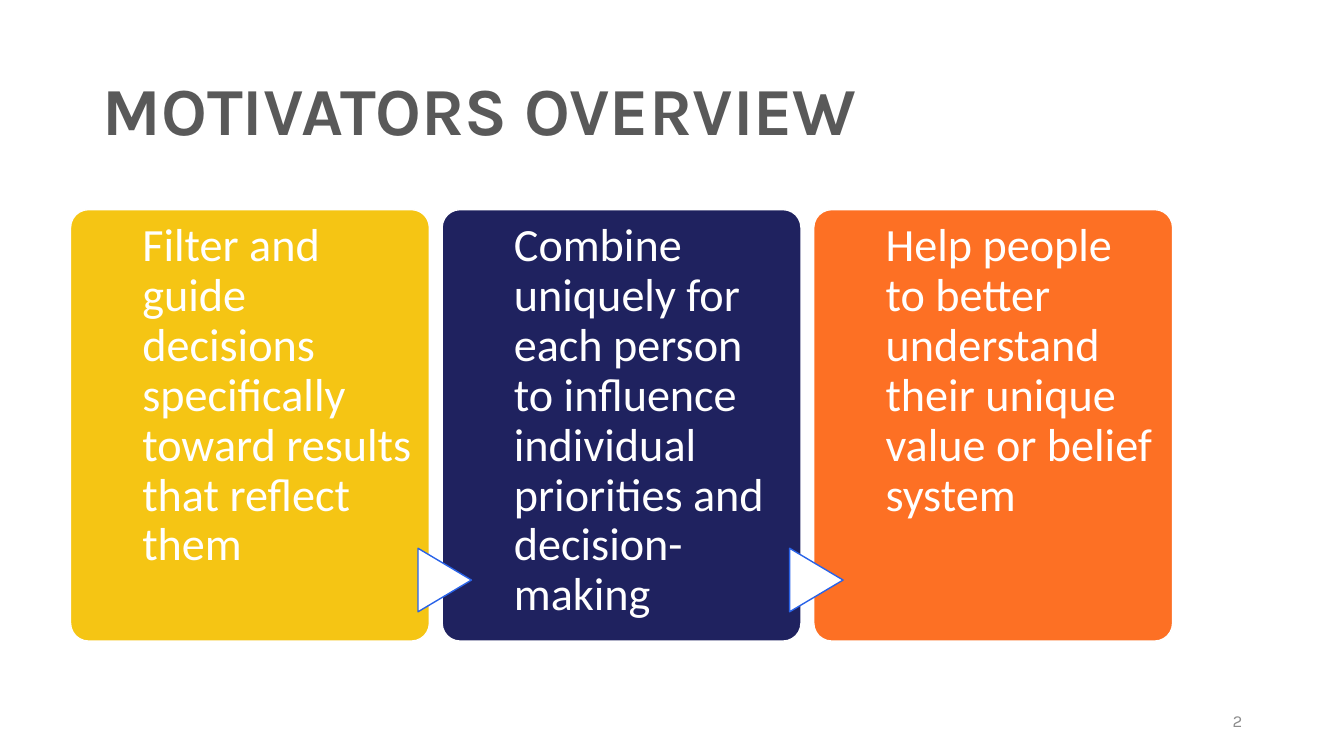
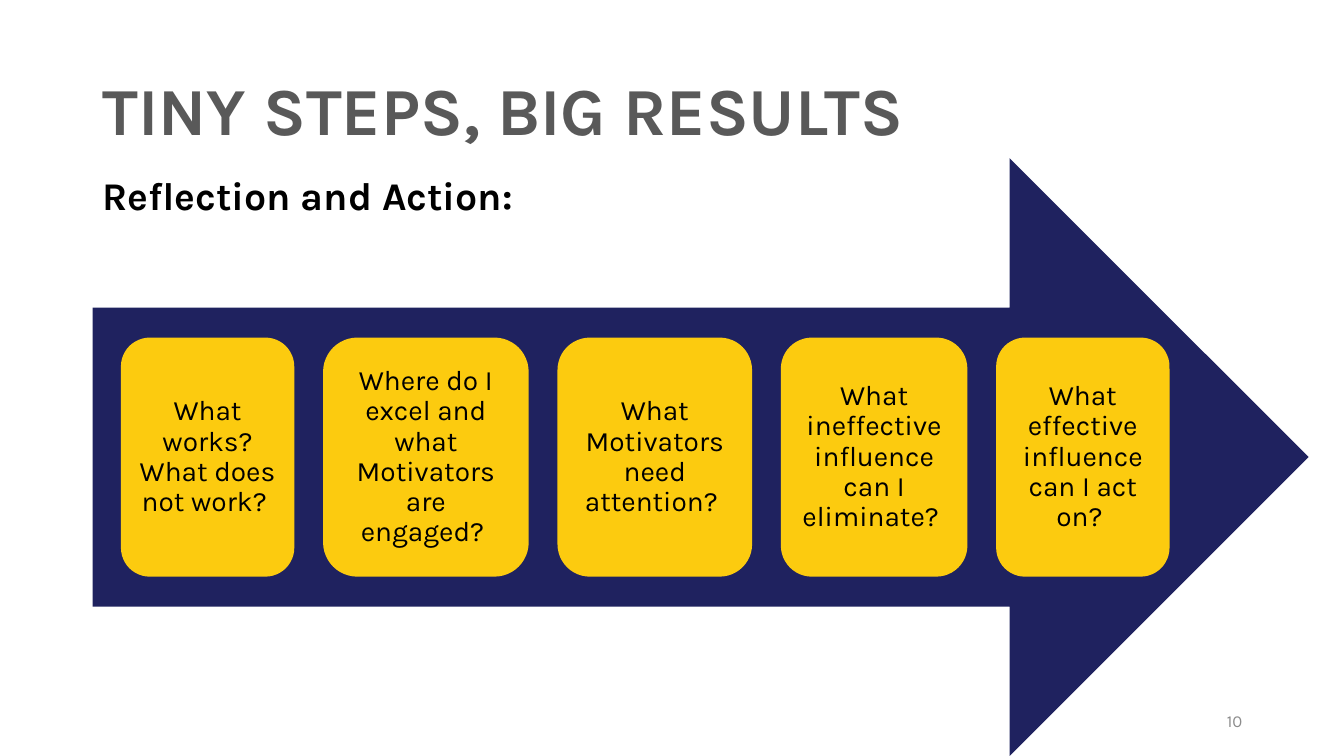
from dataclasses import dataclass

from pptx import Presentation
from pptx.dml.color import RGBColor
from pptx.enum.shapes import MSO_SHAPE as Preset
from pptx.enum.text import MSO_ANCHOR as Anchor, PP_ALIGN as Align
from pptx.util import Inches, Pt

SLIDE_WIDTH, SLIDE_HEIGHT = Inches(13.33), Inches(7.5)


@dataclass(frozen=True)
class Theme:
    """Colours, fonts and type sizes of the deck."""
    white: str = "FFFFFF"
    black: str = "000000"
    heading: str = "595959"
    muted: str = "8C8C8C"
    navy: str = "1F225F"
    gold: str = "F5C514"
    orange: str = "FD7024"
    card: str = "FCCB0F"
    outline: str = "2963E8"
    brand_font: str = "Karla"
    panel_font: str = "Calibri"
    title_size: int = 48
    panel_size: int = 33
    subtitle_size: int = 28
    card_size: int = 20
    number_size: int = 12


THEME = Theme()


def across(percent):
    """Turn a percentage of the slide width into a length."""
    return round(SLIDE_WIDTH * percent / 100)


def down(percent):
    """Turn a percentage of the slide height into a length."""
    return round(SLIDE_HEIGHT * percent / 100)


MARGIN, CONTENT_WIDTH = across(6.9), across(86.25)


def write(frame, words, size, color, font=THEME.brand_font, bold=False,
          align=Align.LEFT, anchor=Anchor.TOP, spacing=0.9, insets=None):
    """Fill a text frame with one styled paragraph."""
    frame.word_wrap = True
    frame.vertical_anchor = anchor
    if insets is not None:
        (frame.margin_left, frame.margin_top,
         frame.margin_right, frame.margin_bottom) = map(Inches, insets)
    paragraph = frame.paragraphs[0]
    paragraph.alignment = align
    paragraph.line_spacing = spacing
    run = paragraph.add_run()
    run.text = words
    run.font.name = font
    run.font.size = Pt(size)
    run.font.bold = bold
    run.font.color.rgb = RGBColor.from_string(color)


def add_label(slide, box, words, size, color, **style):
    """Add a text box at (left, top, width, height)."""
    write(slide.shapes.add_textbox(*box).text_frame, words, size, color, **style)


def add_block(slide, preset, box, fill, line=None):
    """Add a flat preset shape with an optional one-point outline."""
    block = slide.shapes.add_shape(preset, *box)
    block.shadow.inherit = False
    block.fill.solid()
    block.fill.fore_color.rgb = RGBColor.from_string(fill)
    if line:
        block.line.color.rgb = RGBColor.from_string(line)
        block.line.width = Pt(1)
    else:
        block.line.fill.background()
    return block


def add_titled_slide(deck, title, number):
    """Add a blank slide with the shared title and page number."""
    slide = deck.slides.add_slide(deck.slide_layouts[6])
    add_label(slide, (MARGIN, down(5.33), CONTENT_WIDTH, down(19.33)), title,
              THEME.title_size, THEME.heading, bold=True, anchor=Anchor.MIDDLE)
    add_label(slide, (across(70.67), down(92.67), across(22.5), down(5.33)),
              str(number), THEME.number_size, THEME.muted, align=Align.RIGHT,
              anchor=Anchor.MIDDLE, spacing=1.0)
    return slide


def add_step_marker(slide, center_x, center_y):
    """Add a triangle pointing right, centred on a point."""
    width, height = Inches(0.63), Inches(0.53)
    box = (center_x - width // 2, center_y - height // 2, width, height)
    marker = add_block(slide, Preset.FLOWCHART_EXTRACT, box,
                       THEME.white, THEME.outline)
    marker.rotation = 90


def add_panels(slide, panels):
    """Lay out equal panels in columns, with a marker between neighbours."""
    first, pitch, width = across(5.25), across(27.65), across(26.7)
    top, height = down(27.73), down(57.07)
    for column, (statement, fill) in enumerate(panels):
        left = first + column * pitch
        panel = add_block(slide, Preset.ROUNDED_RECTANGLE,
                          (left, top, width, height), fill, THEME.white)
        panel.adjustments[0] = 0.05
        if column:
            add_step_marker(slide, left + across(0.19), down(76.73))
        add_label(slide, (left + width // 5, top, width * 3 // 4, height),
                  statement, THEME.panel_size, THEME.white,
                  font=THEME.panel_font, insets=(0, 0.12, 0, 0))


def add_question_arrow(slide, questions):
    """Draw a wide arrow carrying a row of evenly spaced question cards."""
    top, height = down(20.93), down(79.07)
    add_block(slide, Preset.RIGHT_ARROW,
              (MARGIN, top, across(90.47), height), THEME.navy)
    left, gap = across(9), across(2.14)
    for question, share in questions:
        width = across(share)
        card = add_block(slide, Preset.ROUNDED_RECTANGLE,
                         (left, top + height * 3 // 10, width, height * 2 // 5),
                         THEME.card)
        write(card.text_frame, question, THEME.card_size, THEME.black,
              align=Align.CENTER, anchor=Anchor.MIDDLE, insets=(0.09,) * 4)
        left += width + gap


def main():
    """Build and save the deck."""
    deck = Presentation()
    deck.slide_width, deck.slide_height = SLIDE_WIDTH, SLIDE_HEIGHT

    overview = add_titled_slide(deck, "MOTIVATORS OVERVIEW", 2)
    add_panels(overview, [
        ("Filter and guide decisions specifically toward results that "
         "reflect them", THEME.gold),
        ("Combine uniquely for each person to influence individual "
         "priorities and decision-making", THEME.navy),
        ("Help people to better understand their unique value or belief "
         "system", THEME.orange),
    ])

    reflection = add_titled_slide(deck, "TINY STEPS, BIG RESULTS", 10)
    add_label(reflection, (MARGIN, down(22.67), CONTENT_WIDTH, down(9.47)),
              "Reflection and Action: ", THEME.subtitle_size, THEME.black,
              bold=True)
    add_question_arrow(reflection, [
        ("What works? What does not work? ", 12.9),
        ("Where do I excel and what Motivators are engaged? ", 15.3),
        ("What Motivators need attention? ", 14.48),
        ("What ineffective influence can I eliminate? ", 13.88),
        ("What effective influence can I act on? ", 12.9),
    ])
    deck.save("out.pptx")


main()
